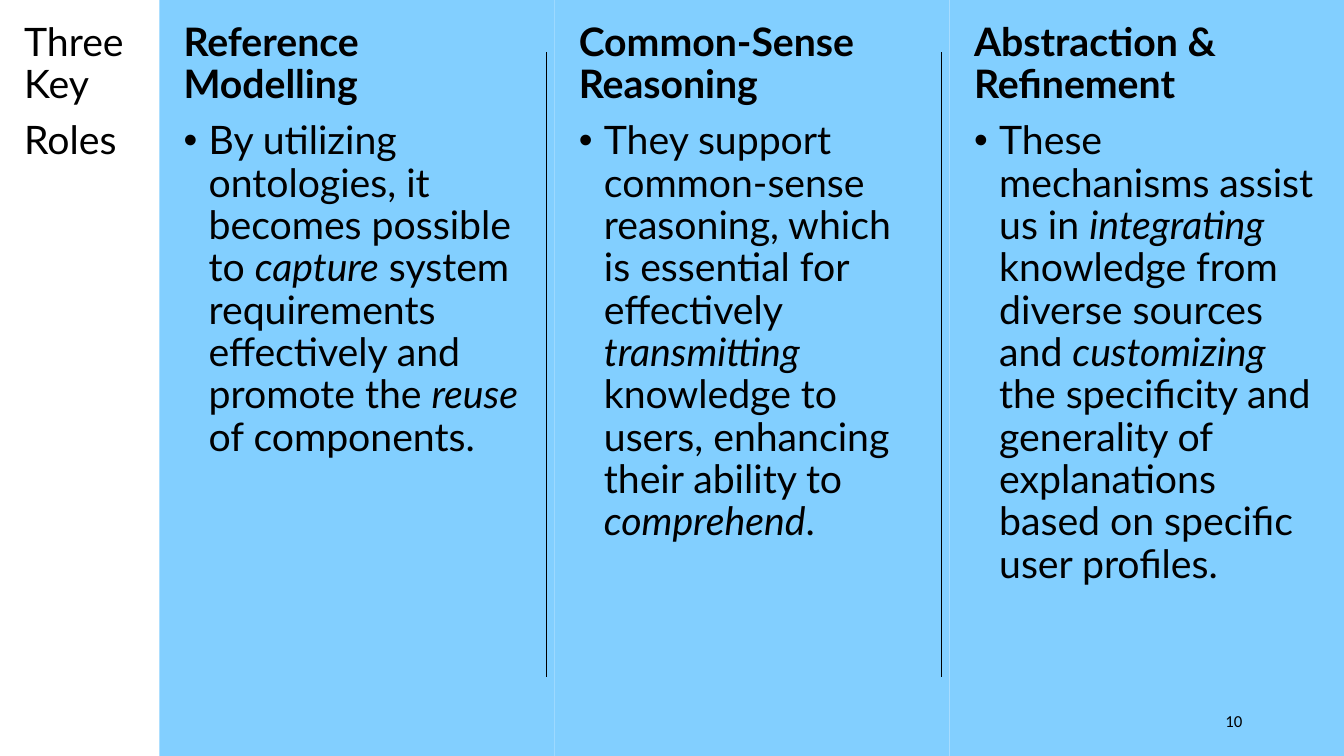
import pptx
import pptx.util
import pptx.dml.color
import pptx.enum.shapes
import pptx.enum.text
import pptx.oxml.ns
import lxml.etree

Inches = pptx.util.Inches
Pt = pptx.util.Pt
PP_ALIGN = pptx.enum.text.PP_ALIGN
MSO_ANCHOR = pptx.enum.text.MSO_ANCHOR
qn = pptx.oxml.ns.qn

COLORS = {"panel": "82CFFF", "ink": "000000"}
PANEL_LEFT, PANEL_W, PANEL_H = 1.58, 3.92, 7.51

ROLES = [
    ("Reference Modelling",
     "By utilizing ontologies, it becomes possible to *capture* system requirements "
     "effectively and promote the *reuse* of components."),
    ("Common-Sense Reasoning",
     "They support common-sense reasoning, which is essential for effectively "
     "*transmitting* knowledge to users, enhancing their ability to *comprehend*."),
    ("Abstraction & Refinement",
     "These mechanisms assist us in *integrating* knowledge from diverse sources and "
     "*customizing* the specificity and generality of explanations based on specific "
     "user profiles."),
]


def rgb(name):
    return pptx.dml.color.RGBColor.from_string(COLORS[name])


def set_bullet(p, bullet):
    pPr = p._p.get_or_add_pPr()
    pPr.set("marL", str(Inches(0.25) if bullet else 0))
    pPr.set("indent", str(-Inches(0.25) if bullet else 0))
    if not bullet:
        lxml.etree.SubElement(pPr, qn("a:buNone"))
        return
    clr = lxml.etree.SubElement(pPr, qn("a:buClr"))
    lxml.etree.SubElement(clr, qn("a:srgbClr"), val=COLORS["ink"])
    lxml.etree.SubElement(pPr, qn("a:buFont"), typeface="Arial")
    lxml.etree.SubElement(pPr, qn("a:buChar"), char="•")


def add_text(p, text, size=28, font="Lato", bold=False, bullet=False,
             align=PP_ALIGN.LEFT, spacing=0.9, before=10):
    p.alignment = align
    p.line_spacing = spacing
    p.space_before = Pt(before)
    p.space_after = Pt(0)
    set_bullet(p, bullet)
    for i, part in enumerate(text.split("*")):
        for j, line in enumerate(part.split("\n")):
            if j:
                p.add_line_break()
            r = p.add_run()
            r.text = line
            r.font.size = Pt(size)
            r.font.name = font
            r.font.bold = bold
            r.font.italic = i % 2 == 1
            r.font.color.rgb = rgb("ink")


def place(sp, x, y, w, h):
    sp.left, sp.top, sp.width, sp.height = (Inches(v) for v in (x, y, w, h))
    tf = sp.text_frame
    tf.word_wrap = True
    tf.auto_size = pptx.enum.text.MSO_AUTO_SIZE.NONE
    tf.vertical_anchor = MSO_ANCHOR.TOP
    tf.margin_left, tf.margin_top = Inches(0.24), Inches(0.22)
    tf.margin_right = tf.margin_bottom = Inches(0.25)
    return tf


def add_heading(sp, x, y, w, h):
    tf = place(sp, x, y, w, h)
    add_text(tf.paragraphs[0], "Three\nKey")
    add_text(tf.add_paragraph(), "Roles")


def add_role(sp, x, y, w, h, title, body):
    tf = place(sp, x, y, w, h)
    sp.fill.solid()
    sp.fill.fore_color.rgb = rgb("panel")
    add_text(tf.paragraphs[0], title, bold=True)
    add_text(tf.add_paragraph(), body, bullet=True)


def add_page_number(s, x, y, w, h):
    sp = s.shapes.add_textbox(Inches(x), Inches(y), Inches(w), Inches(h))
    tf = sp.text_frame
    tf.word_wrap = True
    tf.vertical_anchor = MSO_ANCHOR.MIDDLE
    add_text(tf.paragraphs[0], "10", size=12, font="Calibri",
             align=PP_ALIGN.RIGHT, spacing=1.0, before=0)


def add_dividers(s, x, y, gap, h):
    group = s.shapes.add_group_shape()
    for i in range(len(ROLES) - 1):
        left = Inches(x + i * gap)
        line = group.shapes.add_connector(
            pptx.enum.shapes.MSO_CONNECTOR.STRAIGHT, left, Inches(y), left, Inches(y + h))
        line.line.color.rgb = rgb("ink")
        line.line.width = Pt(0.5)
        lxml.etree.SubElement(line._element.spPr, qn("a:effectLst"))


def add_roles_slide(prs):
    s = prs.slides.add_slide(prs.slide_layouts.get_by_name("Comparison"))
    add_heading(s.shapes.title, 0, 0, 1.9, PANEL_H)
    bodies = [sp for sp in s.placeholders if sp.placeholder_format.idx > 0]
    for i, (title, body) in enumerate(ROLES):
        add_role(bodies[i], PANEL_LEFT + i * PANEL_W, 0, PANEL_W, PANEL_H, title, body)
    for sp in bodies[len(ROLES):]:
        sp._element.getparent().remove(sp._element)
    add_page_number(s, PANEL_LEFT + 2 * PANEL_W, 6.95, 3, 0.4)
    add_dividers(s, PANEL_LEFT + PANEL_W - 0.08, 0.52, PANEL_W, 6.2)


def main():
    prs = pptx.Presentation()
    prs.slide_width, prs.slide_height = Inches(13.33), Inches(7.5)
    add_roles_slide(prs)
    prs.save("out.pptx")


if __name__ == "__main__":
    main()
